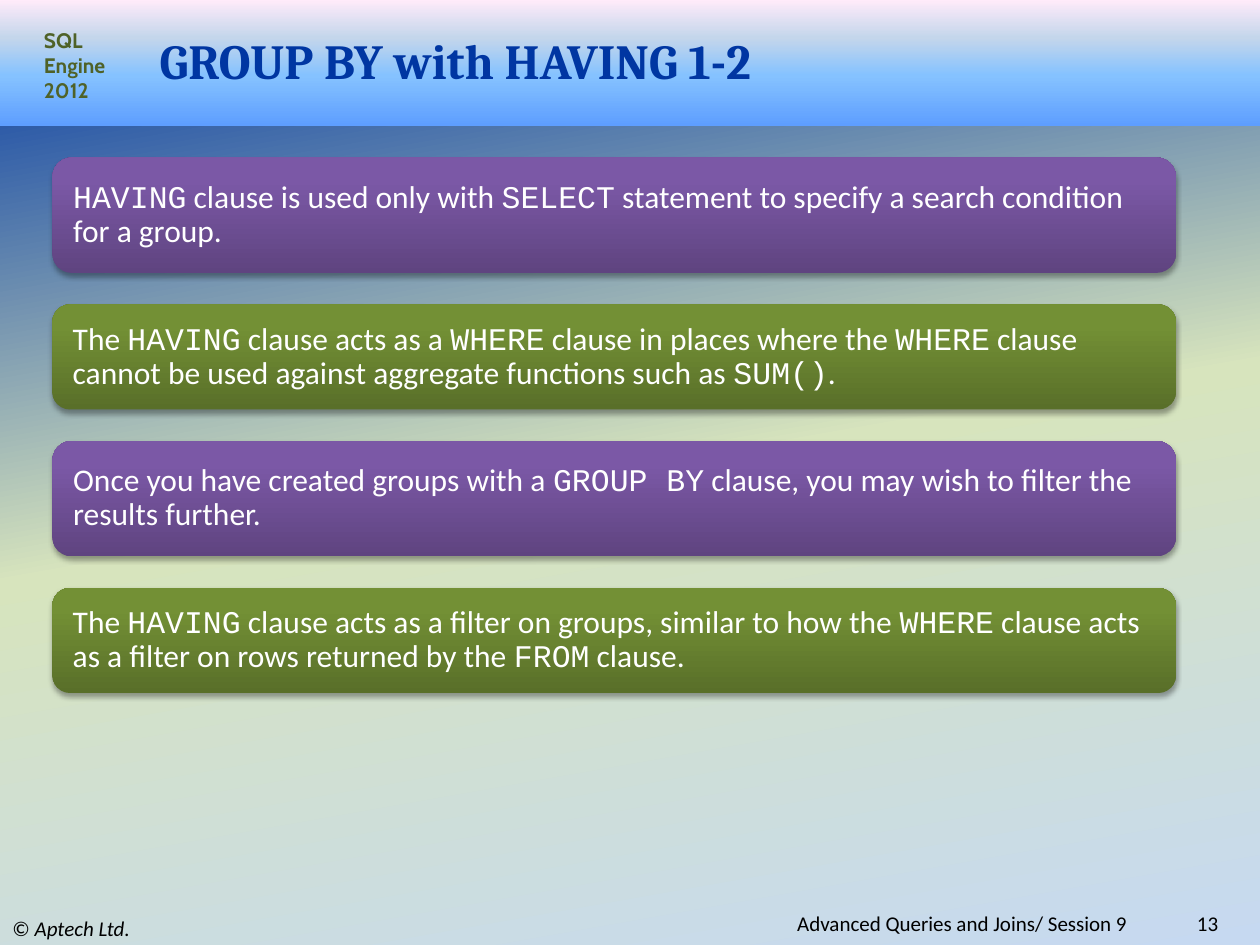
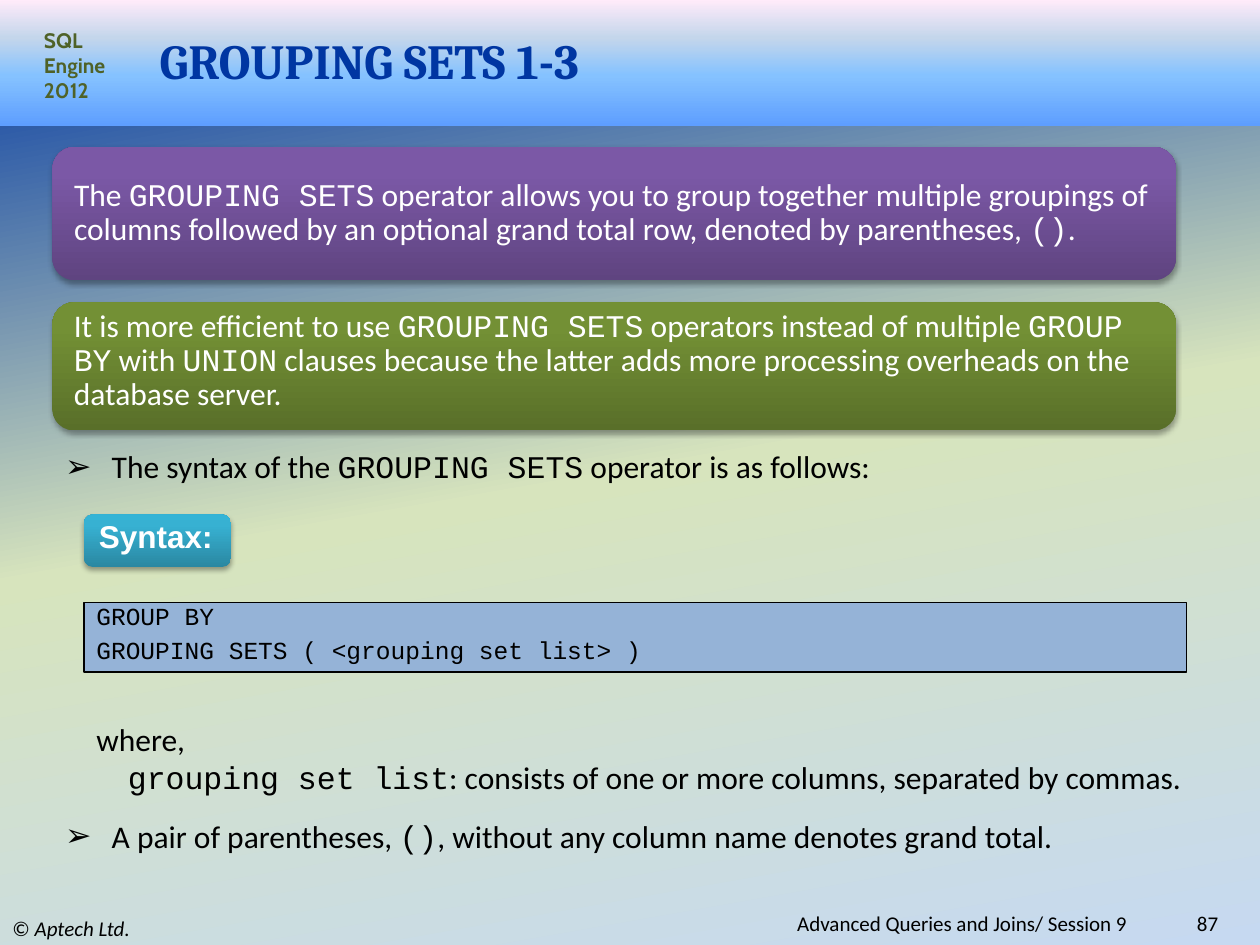
from lxml.etree import SubElement
from pptx import Presentation
from pptx.dml.color import RGBColor
from pptx.enum.shapes import MSO_SHAPE
from pptx.enum.text import MSO_ANCHOR, MSO_AUTO_SIZE, PP_ALIGN
from pptx.oxml.ns import qn
from pptx.util import Inches, Pt

# Grid: 120 columns by 90 rows, twelve to the inch
COLS, ROWS = 120, 90
UNIT = Inches(1) // 12

# Shared style
BODY, CODE, HEAD, LOGO, SANS = "Calibri", "Courier New", "Cambria", "Cabin", "Arial"
BLACK, WHITE, NAVY, OLIVE, STEEL = "000000", "FFFFFF", "0036A2", "4F6228", "95B3D7"
PAGE = [(0, NAVY), (50, "D7E4BD"), (100, "C6D9F1")]
BAND = [(0, "5E9EFF"), (40, "85C2FF"), (70, "C4D6EB"), (100, "FFEBFA")]
PLUM = [(0, "5F4480"), (80, "7B58A6"), (100, "7C57A8")]
MOSS = [(0, "596F29"), (80, "739035"), (100, "749334")]
TEAL = [(0, "2A88A2"), (80, "37B1D2"), (100, "34B4D6")]
INSET = (0.1, 0.05, 0.1, 0.05)


def color(code):
    return RGBColor.from_string(code)


def blend(fill, host, stops, angle):
    """Give the host a gradient; the angle runs clockwise."""
    fill.gradient()
    grad = host.element.find(".//" + qn("a:gradFill"))
    ramp = grad.find(qn("a:gsLst"))
    for stop in list(ramp):
        ramp.remove(stop)
    for place, code in stops:
        stop = SubElement(ramp, qn("a:gs"), pos=str(place * 1000))
        SubElement(stop, qn("a:srgbClr"), val=code)
    grad.find(qn("a:lin")).set("ang", str(angle * 60000))


def shade(shape):
    """Drop a soft shadow straight down."""
    shape.shadow.inherit = False
    effects = shape.element.spPr.find(qn("a:effectLst"))
    drop = SubElement(effects, qn("a:outerShdw"), blurRad=str(Pt(3.1)),
                      dist=str(Pt(1.8)), dir="5400000", rotWithShape="0")
    tint = SubElement(drop, qn("a:srgbClr"), val=BLACK)
    SubElement(tint, qn("a:alpha"), val="35000")


class Deck:
    def __init__(self):
        self.file = Presentation()
        self.file.slide_width = COLS * UNIT
        self.file.slide_height = ROWS * UNIT
        self.slide = None

    def grid(self, *cells):
        return [round(cell * UNIT) for cell in cells]

    def page(self, layout, title, number):
        """Start a slide with its background, band, title and footers."""
        self.slide = self.file.slides.add_slide(
            self.file.slide_layouts.get_by_name(layout))
        blend(self.slide.background.fill, self.slide, PAGE, 80)
        band = self.shape(MSO_SHAPE.RECTANGLE, 0, 0, COLS, 12, BAND)
        band.element.getparent().insert(2, band.element)

        head = self.place(self.slide.shapes.title, 14, 3, 100, 5.4)
        self.frame(head, MSO_ANCHOR.MIDDLE)
        self.line(head, title, size=28, font=HEAD, ink=NAVY, bold=True)

        self.label(3, 2, 9, 8.5, "SQL Engine 2012", font=LOGO, ink=OLIVE, bold=True)
        mark = self.label(0, 86.8, 40, 3.2, "© ", MSO_ANCHOR.MIDDLE)
        self.run(mark, "Aptech Ltd.", 12).italic = True
        for left, wide, text in ((107, 10.2, str(number)),
                                 (30, 79, "Advanced Queries and Joins/ Session 9 ")):
            note = self.label(left, 86.8, wide, 2.2, text, MSO_ANCHOR.MIDDLE)
            note.alignment = PP_ALIGN.RIGHT

    def place(self, shape, *cells):
        shape.left, shape.top, shape.width, shape.height = self.grid(*cells)
        return shape

    def frame(self, shape, anchor=MSO_ANCHOR.TOP, inset=INSET):
        box = shape.text_frame
        box.word_wrap = True
        box.auto_size = MSO_AUTO_SIZE.NONE
        box.vertical_anchor = anchor
        (box.margin_left, box.margin_top,
         box.margin_right, box.margin_bottom) = map(Inches, inset)

    def run(self, para, text, size, font=BODY, ink=BLACK, bold=False):
        run = para.add_run()
        run.text = text
        face = run.font
        face.size, face.name, face.bold = Pt(size), font, bold
        face.color.rgb = color(ink)
        return face

    def line(self, shape, text, more=False, size=18, font=BODY, ink=BLACK,
             bold=False, lead=1.0):
        """Set one paragraph; words between backticks are in the code face."""
        box = shape.text_frame
        para = box.add_paragraph() if more else box.paragraphs[0]
        para.alignment = PP_ALIGN.LEFT
        para.line_spacing = lead
        para.space_before = Pt(0)
        for spot, part in enumerate(text.split("`")):
            if part:
                self.run(para, part, size, CODE if spot % 2 else font, ink, bold)
        return para

    def text(self, *cells):
        box = self.slide.shapes.add_textbox(*self.grid(*cells))
        self.frame(box)
        return box

    def label(self, left, top, wide, high, text, anchor=MSO_ANCHOR.TOP, **look):
        box = self.text(left, top, wide, high)
        self.frame(box, anchor)
        return self.line(box, text, size=12, **look)

    def shape(self, kind, left, top, wide, high, stops=None):
        shape = self.slide.shapes.add_shape(kind, *self.grid(left, top, wide, high))
        shape.shadow.inherit = False
        shape.line.fill.background()
        if stops:
            blend(shape.fill, shape, stops, 270)
        return shape

    def card(self, top, high, stops, text, lift=0):
        card = self.shape(MSO_SHAPE.ROUNDED_RECTANGLE, 5, top, 107, high, stops)
        shade(card)
        self.frame(card, MSO_ANCHOR.MIDDLE, (0.12, 0, 0.12, lift))
        self.line(card, text, ink=WHITE, lead=0.9)

    def stack(self, top, gap, cards):
        """Set cards one below the other, in turn plum and moss."""
        for turn, (high, text, lift) in enumerate(cards):
            self.card(top, high, (PLUM, MOSS)[turn % 2], text, lift)
            top += high + gap

    def chip(self, left, top, wide, high, text):
        chip = self.shape(MSO_SHAPE.ROUNDED_RECTANGLE, left, top, wide, high, TEAL)
        shade(chip)
        self.frame(chip, MSO_ANCHOR.MIDDLE)
        self.line(chip, text, font=SANS, ink=WHITE, bold=True, lead=0.7)

    def code(self, left, top, wide, high, lines):
        box = self.shape(MSO_SHAPE.RECTANGLE, left, top, wide, high)
        box.fill.solid()
        box.fill.fore_color.rgb = color(STEEL)
        box.line.color.rgb = color(BLACK)
        box.line.width = Pt(0.75)
        self.frame(box)
        for turn, line in enumerate(lines):
            para = self.line(box, line, turn > 0, size=14, font=CODE, lead=0.7)
            para.space_before = Pt(8 if turn else 0)

    def point(self, slot, top, text):
        """Fill a body placeholder with one arrow-bulleted line."""
        body = self.place(self.slide.placeholders[slot], 5, top, 112, 4.8)
        self.frame(body)
        para = self.line(body, text)
        props = para._p.get_or_add_pPr()
        props.set("marL", str(Inches(0.37)))
        props.set("indent", str(-Inches(0.37)))
        SubElement(props, qn("a:buFont"), typeface=SANS)
        SubElement(props, qn("a:buChar"), char="➢")


def having(deck):
    deck.page("Title Only", "GROUP BY with HAVING 1-2", 13)
    deck.stack(15, 3, [
        (11, "`HAVING` clause is used only with `SELECT` statement to specify "
             "a search condition for a group.", 0),
        (10, "The `HAVING` clause acts as a `WHERE` clause in places where the "
             "`WHERE` clause cannot be used against aggregate functions such as "
             "`SUM()`.", 0),
        (11, "Once you have created groups with a `GROUP BY` clause, you may "
             "wish to filter the results further.", 0),
        (10, "The `HAVING` clause acts as a filter on groups, similar to how the "
             "`WHERE` clause acts as a filter on rows returned by the `FROM` "
             "clause.", 0),
    ])


def sets(deck):
    deck.page("Two Content", "GROUPING SETS 1-3", 87)
    deck.stack(14, 2.1, [
        (12.7, "The `GROUPING SETS` operator allows you to group together multiple "
               "groupings of columns followed by an optional grand total row, "
               "denoted by parentheses, `()`.", 0),
        (12.2, "It is more efficient to use `GROUPING SETS` operators instead of "
               "multiple `GROUP BY` with `UNION` clauses because the latter adds "
               "more processing overheads on the database server.", 0.08),
    ])

    # Syntax
    deck.point(1, 42, "The syntax of the `GROUPING SETS` operator is as follows:")
    deck.chip(8, 49, 14, 5, "Syntax:")
    deck.code(8, 57.4, 105, 6.6, ["GROUP BY", "GROUPING SETS ( <grouping set list> )"])

    # Terms
    terms = deck.text(8, 68, 111, 8.5)
    deck.line(terms, "where,")
    term = deck.line(terms, "`grouping set list`: consists of one or more columns, "
                            "separated by commas.", True)
    term._p.get_or_add_pPr().set("marL", str(Inches(0.25)))
    deck.point(2, 77.2, "A pair of parentheses, `()`, without any column name "
                        "denotes grand total.")


def main():
    deck = Deck()
    having(deck)
    sets(deck)
    deck.file.save("out.pptx")


if __name__ == "__main__":
    main()
